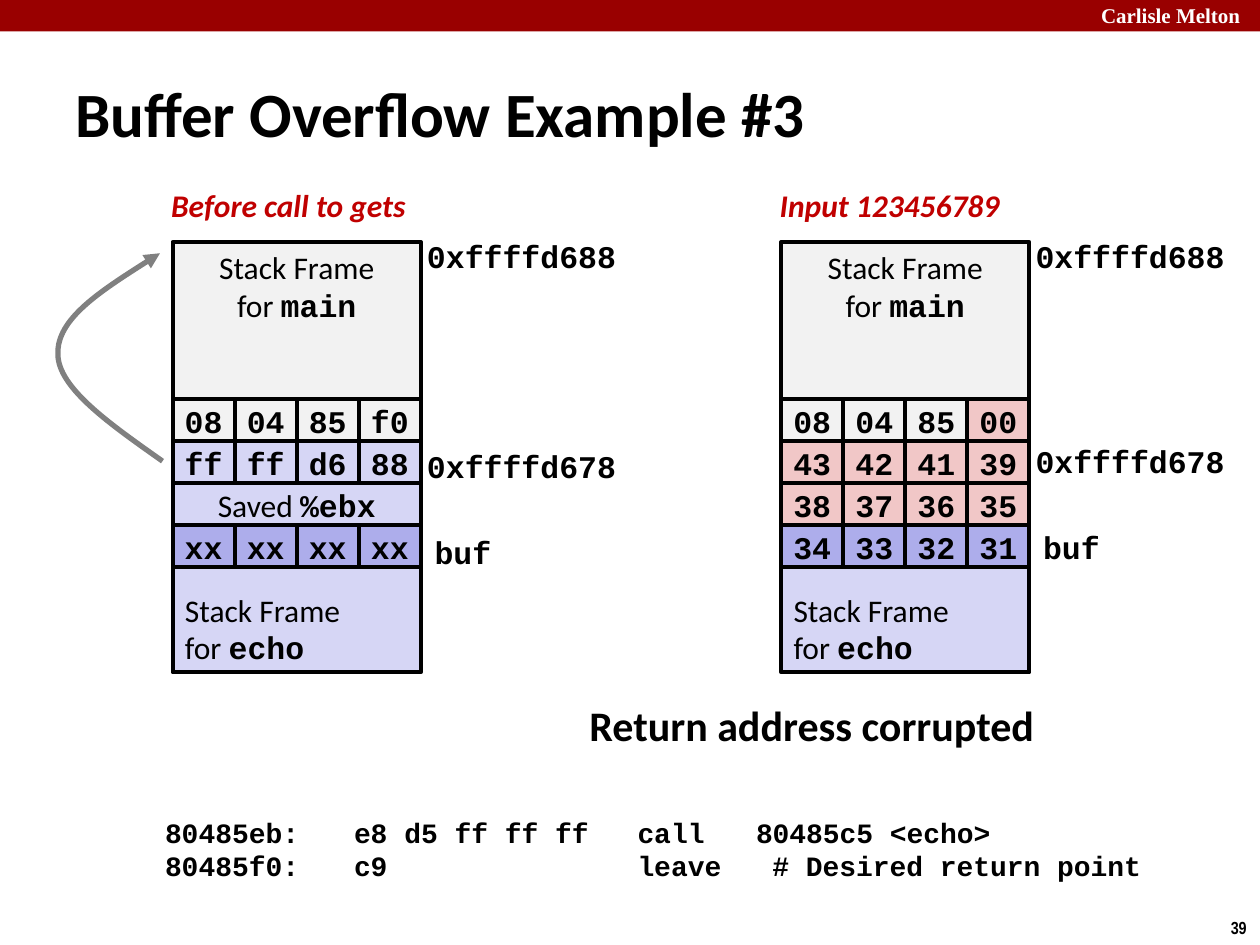
from dataclasses import dataclass
from lxml.etree import SubElement
from pptx import Presentation
from pptx.dml.color import RGBColor as RGB
from pptx.enum.shapes import MSO_SHAPE as Shape
from pptx.enum.text import MSO_ANCHOR as Anchor, MSO_AUTO_SIZE as Fit, PP_ALIGN as Align
from pptx.oxml.ns import qn
from pptx.util import Inches, Pt


@dataclass(frozen=True)
class Theme:
    sans: str = "Calibri"
    mono: str = "Courier New"
    serif: str = "Times New Roman"
    narrow: str = "Arial Narrow"
    ink: str = "000000"
    white: str = "FFFFFF"
    band: str = "990000"
    accent: str = "C00000"
    arrow: str = "808080"
    main: str = "F2F2F2"
    echo: str = "D6D6F5"
    buf: str = "ADADEB"
    bad: str = "F1C7C7"
    title: int = 36
    note: int = 24
    body: int = 18
    code: int = 16
    head: int = 12
    page: int = 10


T = Theme()


def sans(text, size=T.body, color=T.ink, bold=False, slant=False, font=T.sans):
    return text, size, color, bold, slant, font


def mono(text, size=T.body):
    return sans(text, size, bold=True, font=T.mono)


def write(frame, lines, align=Align.LEFT):
    """Each line is a list of runs."""
    for i, line in enumerate(lines):
        para = frame.paragraphs[0] if i == 0 else frame.add_paragraph()
        para.alignment = align
        for text, size, color, bold, slant, face in line:
            run = para.add_run()
            run.text = text
            font = run.font
            font.name, font.size = face, Pt(size)
            font.bold, font.italic = bold, slant
            font.color.rgb = RGB.from_string(color)


def label(slide, x, y, w, h, lines, wrap=False, anchor=Anchor.TOP):
    box = slide.shapes.add_textbox(Inches(x), Inches(y), Inches(w), Inches(h))
    frame = box.text_frame
    frame.word_wrap, frame.vertical_anchor = wrap, anchor
    frame.auto_size = Fit.NONE if anchor == Anchor.MIDDLE else Fit.SHAPE_TO_FIT_TEXT
    write(frame, lines)
    return box


def block(slide, x, y, w, h, fill, lines=(), anchor=Anchor.MIDDLE, align=Align.CENTER, edge=True):
    box = slide.shapes.add_shape(Shape.RECTANGLE, Inches(x), Inches(y), Inches(w), Inches(h))
    box.shadow.inherit = False
    box.fill.solid()
    box.fill.fore_color.rgb = RGB.from_string(fill)
    if edge:
        box.line.color.rgb = RGB.from_string(T.ink)
        box.line.width = Pt(2.25)
    else:
        box.line.fill.background()
    box.text_frame.word_wrap = False
    box.text_frame.vertical_anchor = anchor
    write(box.text_frame, lines, align)


# Stack diagram: two frames, rows of bytes and the labels around them
def stack(slide, x, y, name, wide, rows, drop):
    w, top, row = 1.97, 1.25, 1 / 3
    label(slide, x - 0.11, y - 0.49, wide, 0.4,
          [[sans(name, color=T.accent, bold=True, slant=True)]])
    block(slide, x, y + top + 2 * row, w, 1.5, T.echo,
          [[sans("Stack Frame")], [sans("for "), mono("echo")]], Anchor.BOTTOM, Align.LEFT)
    block(slide, x, y, w, top, T.main,
          [[sans("Stack Frame")], [sans("for "), mono("main")]], Anchor.TOP)
    for i, cells in enumerate(rows):
        cell = w / len(cells)
        for j, (fill, runs) in enumerate(cells):
            block(slide, x + j * cell, y + top + i * row, cell, row, fill, [runs])
    for dx, dy, wide, text in ((1.92, -0.09, 1.71, "0xffffd688"),
                               (1.92, 1.54 + drop, 1.71, "0xffffd678"),
                               (1.98, 2.22 + drop, 0.65, "buf")):
        label(slide, x + dx, y + dy, wide, 0.4, [[mono(text)]])


def cells(text, fill):
    return [(fill, [mono(byte)]) for byte in text.split()]


# Curved arrow from the saved pointer up to the main frame
def arrow(slide, x, y):
    curve = [(0.84, 1.65), (0.43, 1.36), (0.01, 1.07), (0.01, 0.8),
             (0, 0.52), (0.41, 0.26), (0.82, 0)]
    spots = [(Inches(x + dx), Inches(y + dy)) for dx, dy in curve]
    pen = slide.shapes.build_freeform(*spots[0])
    pen.add_line_segments(spots[1:], close=False)
    shape = pen.convert_to_shape()
    shape.shadow.inherit = False
    shape.fill.background()
    shape.line.color.rgb = RGB.from_string(T.arrow)
    shape.line.width = Pt(3)
    # Turn each three line points into one Bezier segment
    steps = list(shape.element.iter(qn("a:lnTo")))
    for i in range(0, len(steps), 3):
        bend = SubElement(steps[i].getparent(), qn("a:cubicBezTo"))
        for step in steps[i:i + 3]:
            bend.append(step[0])
            step.getparent().remove(step)
    line = shape.element.spPr.find(qn("a:ln"))
    SubElement(line, qn("a:tailEnd"), type="triangle")


# Machine code in tabbed columns
def code(slide, x, y, w, h):
    lines = [("80485eb:\te8 d5 ff ff ff\tcall\t80485c5 <echo>", (1.5, 3.75, 4.69)),
             ("80485f0:\tc9\tleave\t# Desired return point", (1.5, 3.75, 4.82))]
    box = label(slide, x, y, w, h, [[mono(text, T.code)] for text, _ in lines], wrap=True)
    box.text_frame.margin_left = Inches(0.23)
    for para, (_, stops) in zip(box.text_frame.paragraphs, lines):
        tabs = SubElement(para._p.get_or_add_pPr(), qn("a:tabLst"))
        for stop in stops:
            SubElement(tabs, qn("a:tab"), pos=str(Inches(stop)), algn="l")


# Top band, title and page number
def trim(slide, w, h):
    block(slide, 0, 0, w, 0.25, T.band, edge=False)
    label(slide, w - 1.36, -0.03, 1.43, 0.3,
          [[sans("Carlisle Melton", T.head, T.white, True, font=T.serif)]], wrap=True)
    label(slide, w - 0.33, h - 0.27, 0.34, 0.27,
          [[sans("39", T.page, bold=True, font=T.narrow)]])
    label(slide, 0.5, 0.58, 8.54, 0.63,
          [[sans("Buffer Overflow Example #3", T.title, bold=True)]],
          wrap=True, anchor=Anchor.MIDDLE)


deck = Presentation()
deck.slide_width, deck.slide_height = Inches(10), Inches(7.5)
page = deck.slides.add_slide(deck.slide_layouts[6])

trim(page, 10, 7.5)
before = [cells("08 04 85 f0", T.main), cells("ff ff d6 88", T.echo),
          [(T.echo, [sans("Saved "), mono("%ebx")])], cells("xx xx xx xx", T.buf)]
after = [cells("08 04 85", T.main) + cells("00", T.bad), cells("43 42 41 39", T.bad),
         cells("38 37 36 35", T.bad), cells("34 33 32 31", T.buf)]
stack(page, 1.37, 1.92, "Before call to gets", 2.09, before, 0.04)
stack(page, 6.2, 1.92, "Input 123456789", 2.03, after, 0)
arrow(page, 0.45, 2.01)
label(page, 4.58, 5.5, 3.77, 0.51, [[sans("Return address corrupted", T.note, bold=True)]])
code(page, 1.08, 6.42, 8.75, 0.64)

deck.save("out.pptx")
